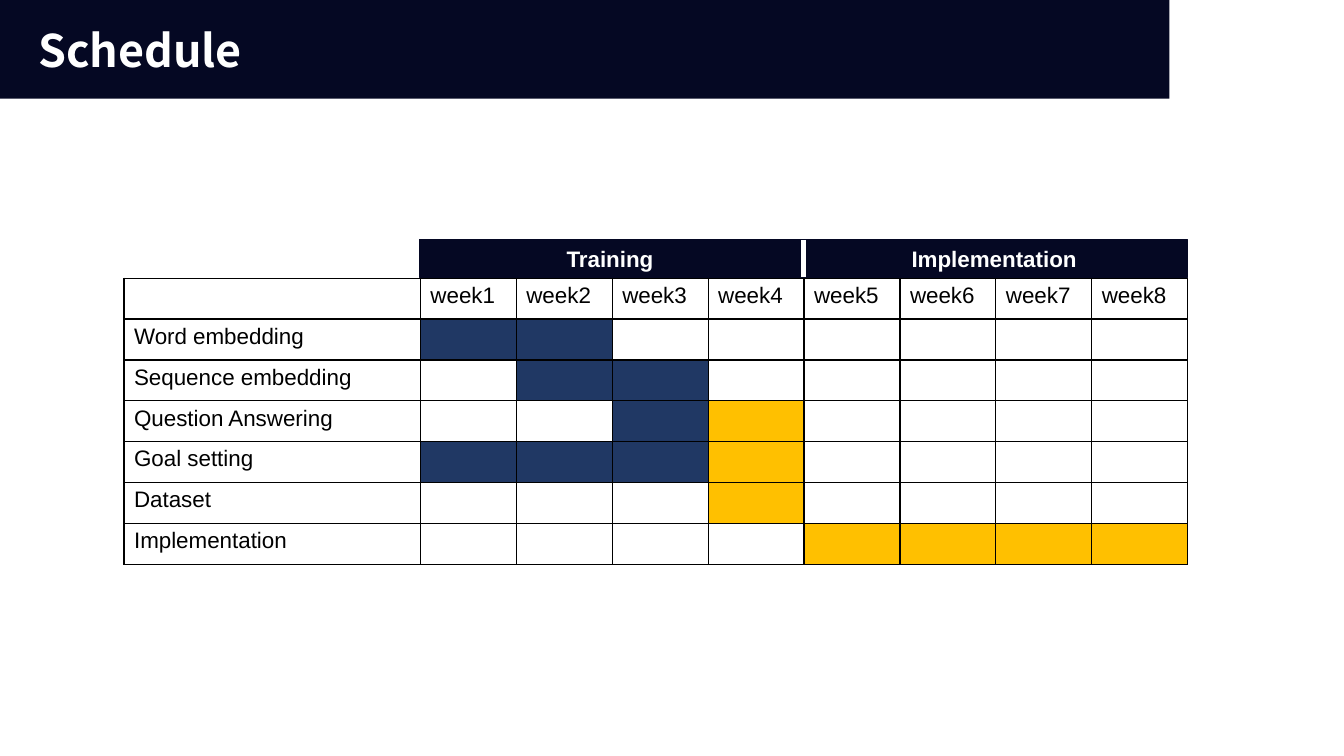
import pptx
import pptx.util
import pptx.dml.color
import pptx.enum.shapes
import pptx.enum.text
import pptx.oxml
import pptx.oxml.ns
from dataclasses import dataclass
from lxml import etree

Inches = pptx.util.Inches
Pt = pptx.util.Pt


@dataclass(frozen=True)
class Theme:
    navy: str = "050823"
    blue: str = "203864"
    gold: str = "FFC000"
    white: str = "FFFFFF"
    black: str = "000000"
    head: str = "Noto Sans CJK KR"
    body: str = "Arial"
    big: int = 32
    small: int = 16


THEME = Theme()
WEEKS = 8
# Task, weeks in blue, weeks in gold
TASKS = [
    ("Word embedding", (1, 2), ()),
    ("Sequence embedding", (2, 3), ()),
    ("Question Answering", (3,), (4,)),
    ("Goal setting", (1, 2, 3), (4,)),
    ("Dataset", (), (4,)),
    ("Implementation", (), (5, 6, 7, 8)),
]


def rgb(color):
    return pptx.dml.color.RGBColor.from_string(color)


def paint(item, color):
    item.fill.solid()
    item.fill.fore_color.rgb = rgb(color)


def write(frame, text, size=THEME.small, font=THEME.body, color=THEME.black,
          bold=False, align=None):
    para = frame.paragraphs[0]
    para.alignment = align
    run = para.add_run()
    run.text = text
    run.font.size = Pt(size)
    run.font.name = font
    run.font.bold = bold
    run.font.color.rgb = rgb(color)


def add_bar(slide, left, top, width, height, line=None):
    bar = slide.shapes.add_shape(
        pptx.enum.shapes.MSO_SHAPE.RECTANGLE,
        Inches(left), Inches(top), Inches(width), Inches(height))
    bar.shadow.inherit = False
    paint(bar, THEME.navy)
    if line:
        bar.line.color.rgb = rgb(THEME.navy)
        bar.line.width = Pt(line)
    else:
        bar.line.fill.background()
    return bar


def add_title(slide, text):
    add_bar(slide, 0, 0, 11.6, 0.98)
    box = slide.shapes.add_textbox(
        Inches(0.28), Inches(0.17), Inches(6.12), Inches(0.64))
    frame = box.text_frame
    frame.word_wrap = True
    frame.vertical_anchor = pptx.enum.text.MSO_ANCHOR.MIDDLE
    write(frame, text, size=THEME.big, font=THEME.head, color=THEME.white,
          bold=True)


def add_phase(slide, text, left, width):
    bar = add_bar(slide, left, 2.38, width, 0.37, line=0.75)
    frame = bar.text_frame
    frame.vertical_anchor = pptx.enum.text.MSO_ANCHOR.MIDDLE
    write(frame, text, color=THEME.white, bold=True,
          align=pptx.enum.text.PP_ALIGN.CENTER)


def add_split(slide, x, top, bottom):
    line = slide.shapes.add_connector(
        pptx.enum.shapes.MSO_CONNECTOR.STRAIGHT,
        Inches(x), Inches(top), Inches(x), Inches(bottom))
    line.line.color.rgb = rgb(THEME.white)
    line.line.width = Pt(3)
    etree.SubElement(line._element.spPr, pptx.oxml.ns.qn("a:effectLst"))


def frame_cell(cell):
    """Draw a thin black border on all four sides, ahead of the fill."""
    props = cell._tc.get_or_add_tcPr()
    for spot, side in enumerate(("lnL", "lnR", "lnT", "lnB")):
        props.insert(spot, pptx.oxml.parse_xml(
            f'<a:{side} {pptx.oxml.ns.nsdecls("a")} w="{Pt(1)}">'
            f'<a:solidFill><a:srgbClr val="{THEME.black}"/></a:solidFill>'
            f'</a:{side}>'))


def add_plan(slide):
    rows = len(TASKS) + 1
    table = slide.shapes.add_table(
        rows, WEEKS + 1, Inches(1.23), Inches(2.76), Inches(10.55),
        Inches(2.84)).table
    table.first_row = table.horz_banding = False
    label = Inches(2.94)
    for week, col in enumerate(table.columns):
        col.width = (Inches(10.55) - label) // WEEKS if week else label
    for cell in table.iter_cells():
        paint(cell, THEME.white)
        frame_cell(cell)
    for week in range(1, WEEKS + 1):
        write(table.cell(0, week).text_frame, f"week{week}")
    for row, (task, blue, gold) in enumerate(TASKS, 1):
        write(table.cell(row, 0).text_frame, task)
        for weeks, color in ((blue, THEME.blue), (gold, THEME.gold)):
            for week in weeks:
                paint(table.cell(row, week), color)


def main():
    deck = pptx.Presentation()
    deck.slide_width = Inches(13.33)
    deck.slide_height = Inches(7.5)
    slide = deck.slides.add_slide(deck.slide_layouts[6])
    add_title(slide, "Schedule")
    add_plan(slide)
    add_phase(slide, "Training", 4.16, 3.78)
    add_phase(slide, "Implementation", 7.94, 3.84)
    add_split(slide, 7.97, 2.38, 2.75)
    deck.save("out.pptx")


if __name__ == "__main__":
    main()
